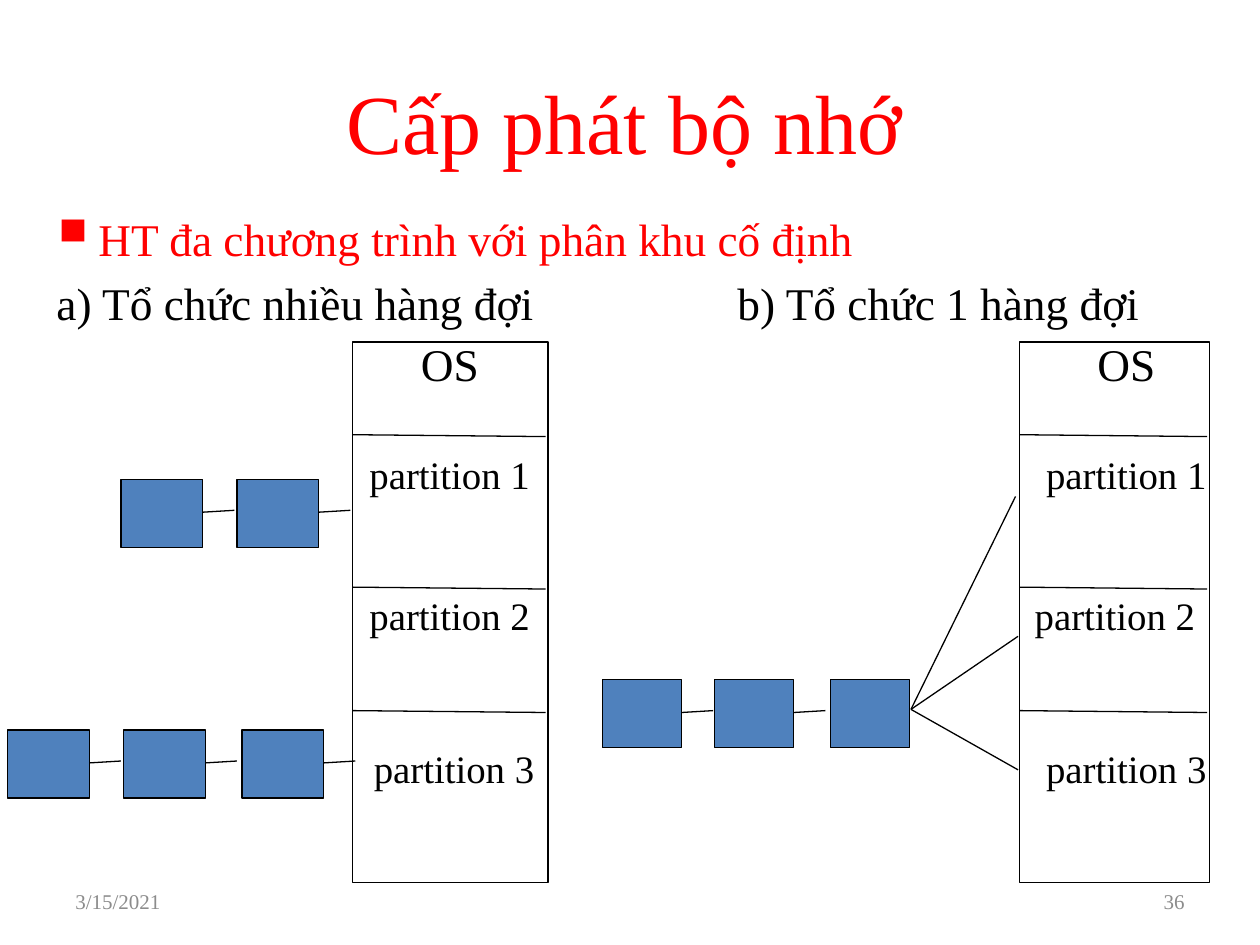
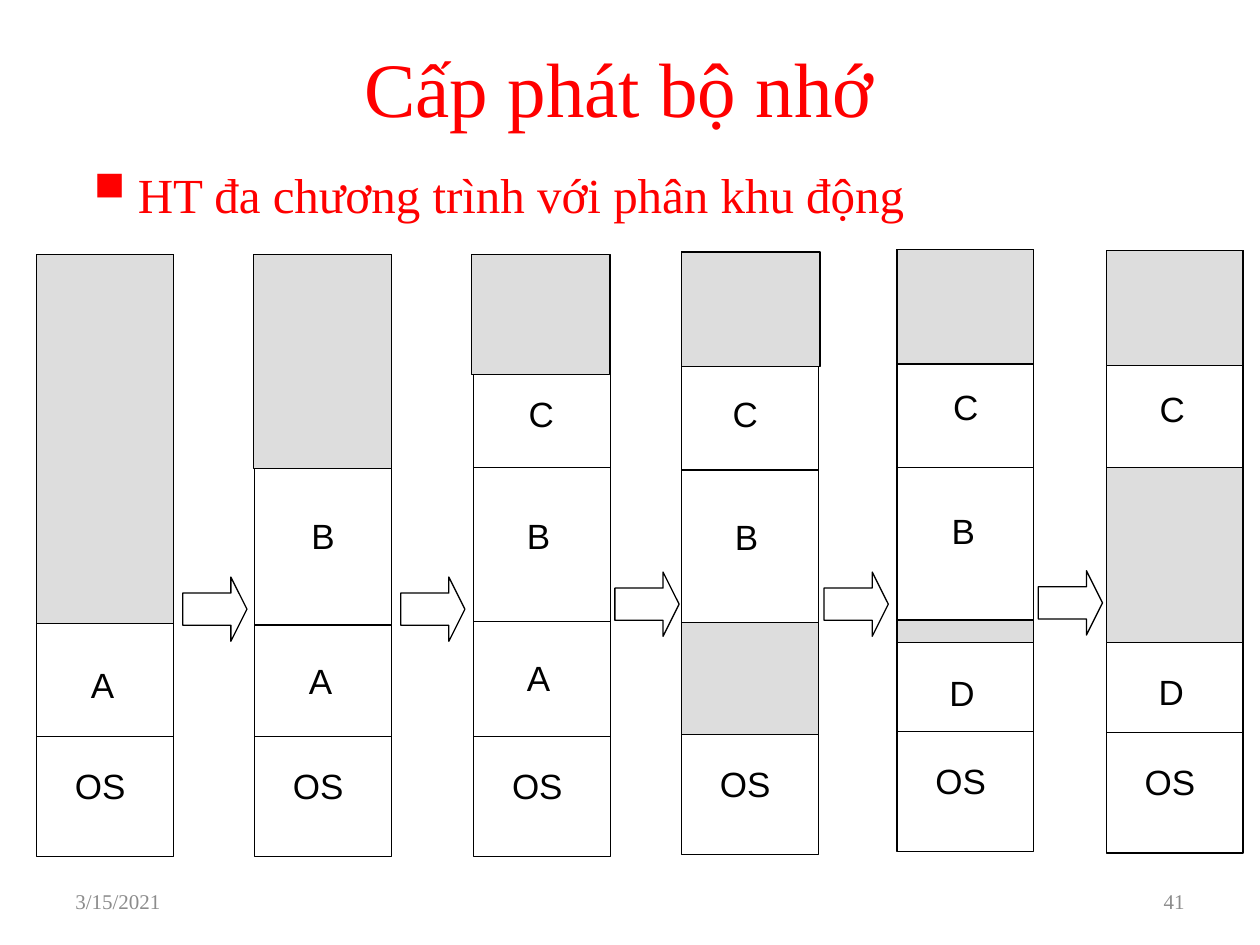
from dataclasses import dataclass

from lxml.etree import SubElement
from pptx import Presentation
from pptx.dml.color import RGBColor
from pptx.enum.shapes import MSO_CONNECTOR, MSO_SHAPE
from pptx.enum.text import MSO_ANCHOR, PP_ALIGN
from pptx.oxml.ns import qn
from pptx.slide import Slide
from pptx.util import Emu, Inches, Pt

# Shared look: a grid of 100 columns by 75 rows, colours and fonts
SLIDE_WIDTH, SLIDE_HEIGHT = Inches(10), Inches(7.5)
COLUMN, ROW = SLIDE_WIDTH / 100, SLIDE_HEIGHT / 75
COLORS = {
    "title": "FF0000",
    "ink": "000000",
    "footer": "8C8C8C",
    "process": "4F81BD",
    "free": "DDDDDD",
    "paper": "FFFFFF",
}
SERIF, SANS = "Times New Roman", "Arial"
TITLE = "Cấp phát bộ nhớ"
DATE = "3/15/2021"
LINE_WIDTH = Pt(0.75)


@dataclass(frozen=True)
class Area:
    left: float
    top: float
    width: float
    height: float

    def lengths(self) -> list[Emu]:
        return [Emu(round(self.left * COLUMN)), Emu(round(self.top * ROW)),
                Emu(round(self.width * COLUMN)), Emu(round(self.height * ROW))]


@dataclass(frozen=True)
class TextStyle:
    size: float
    color: str = "ink"
    font: str = SERIF
    align: PP_ALIGN = PP_ALIGN.CENTER


@dataclass(frozen=True)
class Queue:
    lefts: tuple[float, ...]
    top: float
    width: float
    links: int


@dataclass(frozen=True)
class Label:
    text: str
    x: float
    y: float


@dataclass(frozen=True)
class FixedMemory:
    left: float
    width: float
    labels: tuple[Label, ...]


@dataclass(frozen=True)
class FreeBlock:
    top: float
    height: float
    shift: float = 0
    width: float = 10.85


@dataclass(frozen=True)
class MemoryStage:
    left: float
    top: float
    dividers: tuple[float, ...]
    free: tuple[FreeBlock, ...]
    programs: tuple[Label, ...]  # x is the shift from the left edge


# Drawing helpers
def color(name: str) -> RGBColor:
    return RGBColor.from_string(COLORS[name])


def add_text(page: Slide, text: str, area: Area, style: TextStyle):
    box = page.shapes.add_textbox(*area.lengths())
    frame = box.text_frame
    frame.word_wrap = True
    frame.vertical_anchor = MSO_ANCHOR.MIDDLE
    frame.text = text
    para = frame.paragraphs[0]
    para.alignment = style.align
    span = para.runs[0]
    span.font.size = Pt(style.size)
    span.font.name = style.font
    span.font.color.rgb = color(style.color)
    return para


def add_bulleted(page: Slide, text: str, area: Area, size: float, indent: float) -> None:
    para = add_text(page, text, area, TextStyle(size, "title", align=PP_ALIGN.LEFT))
    properties = para._p.get_or_add_pPr()
    hanging = round(indent * COLUMN)
    properties.set("marL", str(hanging))
    properties.set("indent", str(-hanging))
    SubElement(properties, qn("a:buSzPct")).set("val", "150000")
    SubElement(properties, qn("a:buChar")).set("char", "▪")


def add_block(page: Slide, area: Area, fill: str | None,
              kind: MSO_SHAPE = MSO_SHAPE.RECTANGLE):
    block = page.shapes.add_shape(kind, *area.lengths())
    block.shadow.inherit = False
    if fill:
        block.fill.solid()
        block.fill.fore_color.rgb = color(fill)
    else:
        block.fill.background()
    block.line.color.rgb = color("ink")
    block.line.width = LINE_WIDTH
    return block


def add_line(page: Slide, x1: float, y1: float, x2: float, y2: float) -> None:
    start_x, start_y, end_x, end_y = Area(x1, y1, x2, y2).lengths()
    line = page.shapes.add_connector(MSO_CONNECTOR.STRAIGHT, start_x, start_y, end_x, end_y)
    line.line.color.rgb = color("ink")
    line.line.width = LINE_WIDTH
    SubElement(line._element.spPr, qn("a:effectLst"))


def add_page(deck, number: int, title_area: Area, title_size: float) -> Slide:
    page = deck.slides.add_slide(deck.slide_layouts[6])
    add_text(page, TITLE, title_area, TextStyle(title_size, "title"))
    for text, left, align in ((DATE, 5, PP_ALIGN.LEFT), (str(number), 71.7, PP_ALIGN.RIGHT)):
        add_text(page, text, Area(left, 69.5, 23.3, 4),
                 TextStyle(12, "footer", align=align))
    return page


# Fixed partitions
MEMORY_TOP, MEMORY_HEIGHT = 27.15, 42.9
PARTITION_OFFSETS = (7.35, 19.45, 29.25)
PROCESS_HEIGHT = 5.4
FIXED_MEMORIES = (
    FixedMemory(28, 15.5, (
        Label("OS", 35.7, 28.87), Label("partition 1", 35.7, 37.6),
        Label("partition 2", 35.7, 48.8), Label("partition 3", 36.05, 60.95))),
    FixedMemory(80.9, 15.1, (
        Label("OS", 89.4, 28.87), Label("partition 1", 89.4, 37.6),
        Label("partition 2", 88.5, 48.8), Label("partition 3", 89.4, 60.95))),
)
QUEUES = (
    Queue((9.6, 18.8), 38.05, 6.5, 2),
    Queue((0.6, 9.8, 19.2), 57.95, 6.5, 3),
    Queue((47.8, 56.7, 65.9), 53.95, 6.3, 2),
)
FAN_START = (72.3, 56.3)
FAN_ENDS = ((80.6, 39.4), (80.8, 50.5), (80.8, 61.1))


def draw_queue(page: Slide, queue: Queue) -> None:
    for left in queue.lefts:
        add_block(page, Area(left, queue.top, queue.width, PROCESS_HEIGHT), "process")
    for left in queue.lefts[:queue.links]:
        start = left + queue.width
        add_line(page, start, queue.top + 2.6, start + 2.5, queue.top + 2.45)


def draw_fixed_memory(page: Slide, memory: FixedMemory) -> None:
    add_block(page, Area(memory.left, MEMORY_TOP, memory.width, MEMORY_HEIGHT), None)
    for offset in PARTITION_OFFSETS:
        y = MEMORY_TOP + offset
        add_line(page, memory.left, y, memory.left + memory.width - 0.2, y + 0.15)
    for label in memory.labels:
        size = 25.9 if label.text == "OS" else 22.2
        add_text(page, label.text, Area(label.x - 10, label.y - 2.5, 20, 5), TextStyle(size))


def build_fixed_partitions(deck) -> None:
    page = add_page(deck, 36, Area(10.4, 4.6, 78.3, 10), 48)
    add_bulleted(page, "HT đa chương trình với phân khu cố định",
                 Area(2.8, 15.9, 94, 6), 25.9, 2.9)
    for text, left in (("a) Tổ chức nhiều hàng đợi", 3.5), ("b) Tổ chức 1 hàng đợi", 57.55)):
        add_text(page, text, Area(left, 21.5, 42, 5),
                 TextStyle(25.9, align=PP_ALIGN.LEFT))
    for queue in QUEUES:
        draw_queue(page, queue)
    for memory in FIXED_MEMORIES:
        draw_fixed_memory(page, memory)
    for end in FAN_ENDS:
        add_line(page, *FAN_START, *end)


# Dynamic partitions
STAGE_WIDTH, STAGE_HEIGHT = 10.85, 47.8
OS_DIVIDER, OS_LABEL = 38.25, 39.85
ARROW_SIZE = 5.1
STAGES = (
    MemoryStage(2.9, 20.2, (49.5,), (FreeBlock(20.2, 29.3),), (Label("A", 0.2, 52),)),
    MemoryStage(20.2, 20.2, (37.1, 49.6), (FreeBlock(20.2, 17, -0.1, 11),),
                (Label("B", 0.4, 40.2), Label("A", 0.2, 51.7))),
    MemoryStage(37.6, 20.2, (37.1, 49.3), (FreeBlock(20.2, 9.5, -0.2, 11),),
                (Label("C", 0.3, 30.5), Label("B", 0.1, 40.2), Label("A", 0.1, 51.5))),
    MemoryStage(54.1, 20, (37.3,),
                (FreeBlock(20, 9.1, 0, 11), FreeBlock(49.4, 8.9)),
                (Label("C", 0, 30.5), Label("B", 0.1, 40.3))),
    MemoryStage(71.2, 19.8, (37.1,),
                (FreeBlock(19.8, 9.1), FreeBlock(49.2, 1.8)),
                (Label("C", 0.4, 30), Label("B", 0.2, 39.8), Label("D", 0.1, 52.7))),
    MemoryStage(87.8, 19.9, (),
                (FreeBlock(19.9, 9.1), FreeBlock(37.1, 13.9)),
                (Label("C", 0.2, 30.1), Label("D", 0.1, 52.6))),
)
ARROWS = ((14.5, 45.8), (31.8, 45.8), (48.8, 45.4), (65.4, 45.4), (82.4, 45.3))


def draw_stage(page: Slide, stage: MemoryStage) -> None:
    add_block(page, Area(stage.left, stage.top, STAGE_WIDTH, STAGE_HEIGHT), "paper")
    for y in (*stage.dividers, stage.top + OS_DIVIDER):
        add_line(page, stage.left, y, stage.left + STAGE_WIDTH, y)
    for block in stage.free:
        add_block(page, Area(stage.left + block.shift, block.top, block.width, block.height),
                  "free")
    for label in (*stage.programs, Label("OS", 0, stage.top + OS_LABEL)):
        add_text(page, label.text, Area(stage.left + label.x, label.y, 10.1, 4.6),
                 TextStyle(20, font=SANS))


def build_dynamic_partitions(deck) -> None:
    page = add_page(deck, 41, Area(10, 2.6, 78.3, 8.6), 44)
    add_bulleted(page, "HT đa chương trình với phân khu động",
                 Area(5.6, 12.2, 89, 6.4), 28, 3.8)
    for stage in STAGES:
        draw_stage(page, stage)
    for left, top in ARROWS:
        arrow = add_block(page, Area(left, top, ARROW_SIZE, ARROW_SIZE), "paper",
                          MSO_SHAPE.RIGHT_ARROW)
        arrow.adjustments[0], arrow.adjustments[1] = 0.5, 0.25


def main() -> None:
    deck = Presentation()
    deck.slide_width, deck.slide_height = SLIDE_WIDTH, SLIDE_HEIGHT
    build_fixed_partitions(deck)
    build_dynamic_partitions(deck)
    deck.save("out.pptx")


if __name__ == "__main__":
    main()
